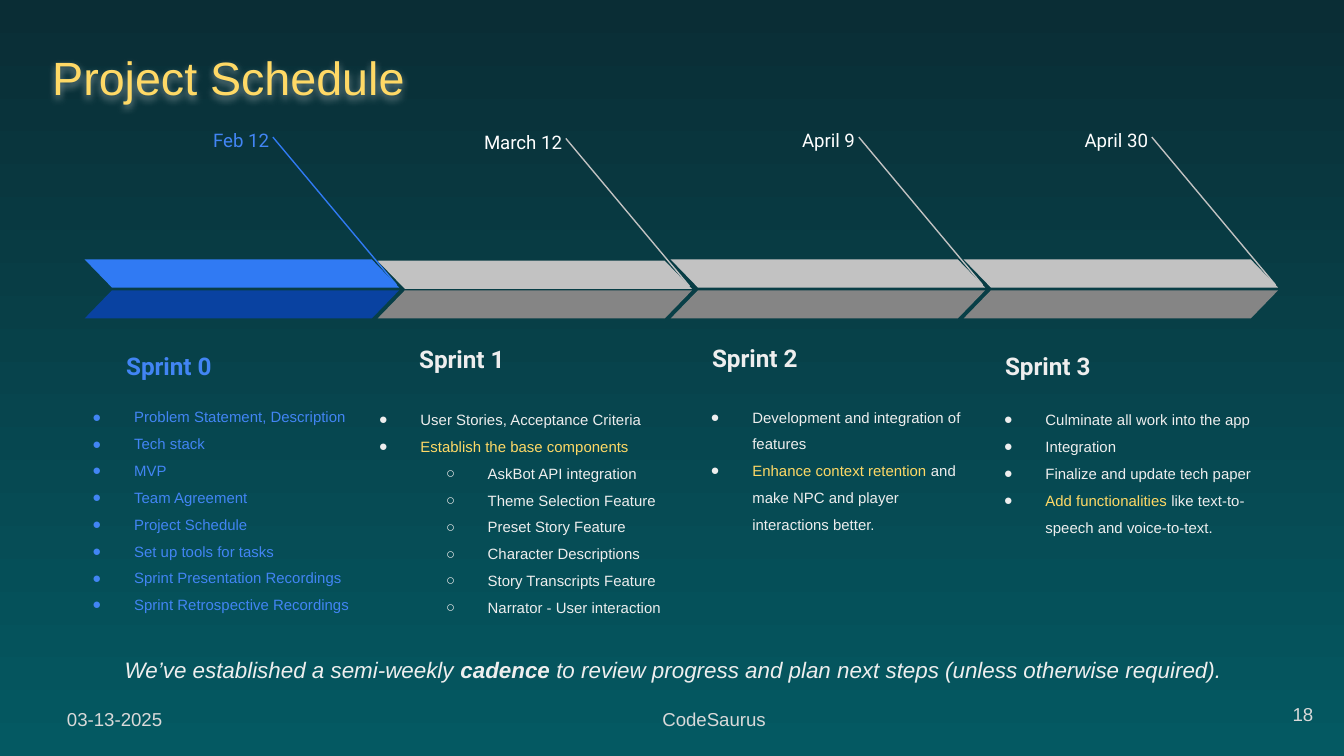
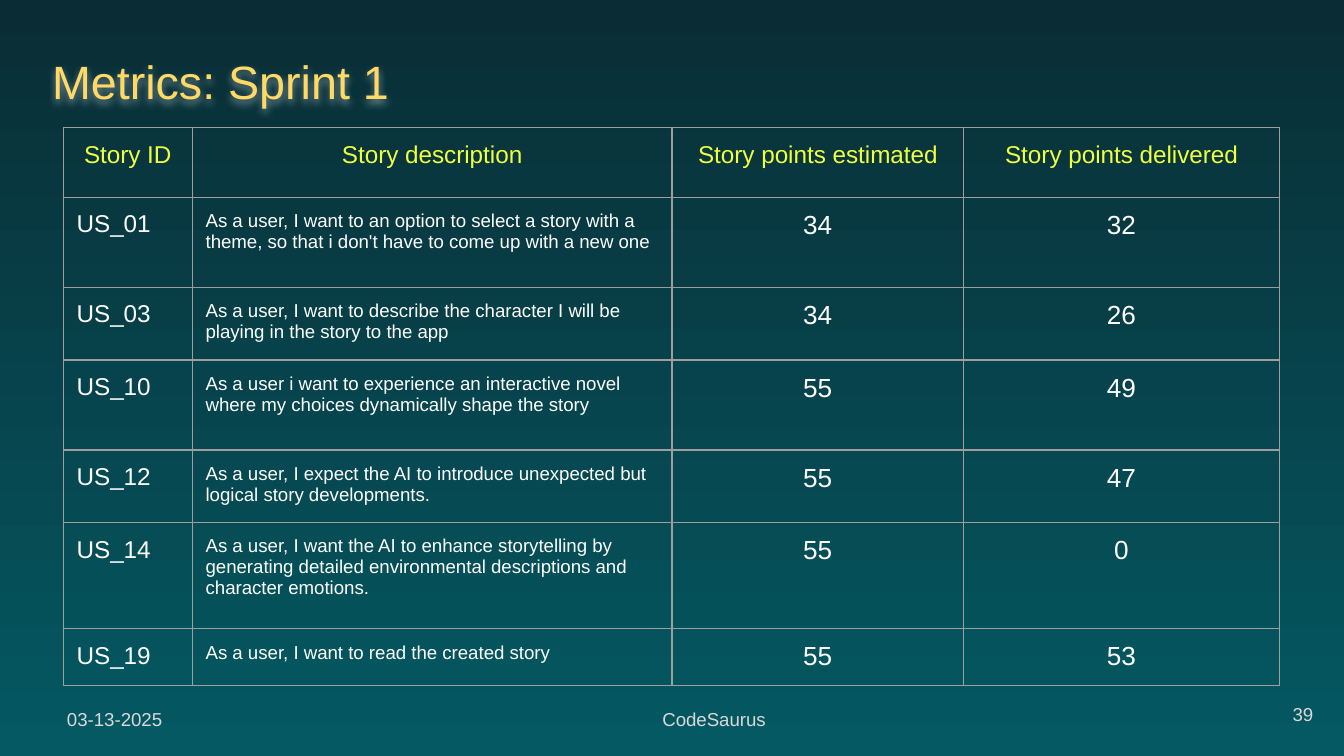
from dataclasses import dataclass

from lxml.etree import SubElement
from pptx import Presentation
from pptx.dml.color import RGBColor
from pptx.enum.shapes import MSO_CONNECTOR, MSO_SHAPE
from pptx.enum.text import MSO_ANCHOR, PP_ALIGN
from pptx.oxml.ns import qn
from pptx.util import Inches, Pt

NIGHT, TEAL = "0A2D35", "045962"
GOLD, LIME = "FFD966", "EEFF41"
WHITE, PALE, MUTED = "FFFFFF", "EEEEEE", "D9D9D9"
BLUE, BRIGHT_BLUE, DEEP_BLUE = "4285F4", "307AF3", "0942A1"
SILVER, GRAY, BORDER = "C2C2C2", "858585", "9E9E9E"


@dataclass
class Sprint:
    name: str
    date: str
    heading_top: float
    list_area: tuple
    tasks: tuple
    details: tuple = ()
    drop: float = 0
    date_color: str = WHITE
    text_color: str = PALE
    upper_color: str = SILVER
    lower_color: str = GRAY


SPRINTS = [
    Sprint(
        "Sprint 0", "Feb 12", 2.5, (0.4, 2.87, 2.47, 1.7),
        ("Problem Statement, Description", "Tech stack", "MVP", "Team Agreement",
         "Project Schedule", "Set up tools for tasks",
         "Sprint Presentation Recordings", "Sprint Retrospective Recordings"),
        date_color=BLUE, text_color=BLUE,
        upper_color=BRIGHT_BLUE, lower_color=DEEP_BLUE,
    ),
    Sprint(
        "Sprint 1", "March 12", 2.45, (2.53, 2.89, 2.85, 1.7),
        ("User Stories, Acceptance Criteria", "*Establish the base components*"),
        ("AskBot API integration", "Theme Selection Feature", "Preset Story Feature",
         "Character Descriptions", "Story Transcripts Feature",
         "Narrator - User interaction"),
        drop=0.01,
    ),
    Sprint(
        "Sprint 2", "April 9", 2.44, (5, 2.87, 2.34, 1.71),
        ("Development and integration of features",
         "*Enhance context retention* and make NPC and player interactions better."),
    ),
    Sprint(
        "Sprint 3", "April 30", 2.5, (7.18, 2.89, 2.32, 1.68),
        ("Culminate all work into the app", "Integration",
         "Finalize and update tech paper",
         "*Add functionalities* like text-to-speech and voice-to-text."),
    ),
]

STORIES = [
    ("US_01", "As a user, I want to an option to select a story with a theme, "
     "so that i don't have to come up with a new one", 34, 32),
    ("US_03", "As a user, I want to describe the character I will be playing "
     "in the story to the app", 34, 26),
    ("US_10", "As a user i want to experience an interactive novel where my choices "
     "dynamically shape the story", 55, 49),
    ("US_12", "As a user, I expect the AI to introduce unexpected but logical "
     "story developments.", 55, 47),
    ("US_14", "As a user, I want the AI to enhance storytelling by generating detailed "
     "environmental descriptions and character emotions.", 55, 0),
    ("US_19", "As a user, I want to read the created story", 55, 53),
]
STORY_HEADER = ("Story ID", "Story description",
                "Story points estimated", "Story points delivered")


def rgb(color):
    return RGBColor.from_string(color)


def write(para, text, size=10, color=PALE, font="Arial", bold=False, italic=False,
          align=PP_ALIGN.LEFT, spacing=None, accent=None):
    para.alignment = align
    if spacing:
        para.line_spacing = spacing
    for index, part in enumerate(text.split("*")):
        if not part:
            continue
        style = dict(color=color, bold=bold)
        if index % 2:
            style.update(accent)
        span = para.add_run()
        span.text = part
        span.font.name = font
        span.font.size = Pt(size)
        span.font.italic = italic
        span.font.bold = style["bold"]
        span.font.color.rgb = rgb(style["color"])


class Deck:
    def __init__(self):
        self.file = Presentation()
        self.file.slide_width = Inches(10)
        self.file.slide_height = Inches(10) * 9 // 16
        self.page = None
        self.shapes = None

    def add_page(self, title, number, anchor=MSO_ANCHOR.TOP):
        self.page = self.file.slides.add_slide(self.file.slide_layouts[6])
        self.shapes = self.page.shapes
        fill = self.page.background.fill
        fill.gradient()
        fill.gradient_angle = 270
        for stop, color in zip(fill.gradient_stops, (NIGHT, TEAL)):
            stop.color.rgb = rgb(color)
        self.text("03-13-2025", 0.4, 5.18, 1.05, 0.3, color=MUTED)
        self.text("CodeSaurus", 4.83, 5.18, 1.05, 0.3, color=MUTED, align=PP_ALIGN.JUSTIFY)
        self.glow(self.text(title, 0.29, 0.26, 8.73, 0.68, anchor, size=25, color=GOLD))
        self.text(str(number), 9.27, 5.1, 0.6, 0.43, MSO_ANCHOR.MIDDLE,
                  color=MUTED, align=PP_ALIGN.RIGHT)

    def start_group(self):
        self.shapes = self.page.shapes.add_group_shape().shapes

    def end_group(self):
        self.shapes = self.page.shapes

    def frame(self, left, top, width, height, anchor=MSO_ANCHOR.TOP):
        box = self.shapes.add_textbox(Inches(left), Inches(top), Inches(width), Inches(height))
        frame = box.text_frame
        frame.word_wrap = True
        frame.vertical_anchor = anchor
        frame.margin_left = frame.margin_right = Inches(0.1)
        frame.margin_top = frame.margin_bottom = Inches(0.1)
        return box

    def text(self, text, left, top, width, height, anchor=MSO_ANCHOR.TOP, **style):
        box = self.frame(left, top, width, height, anchor)
        write(box.text_frame.paragraphs[0], text, **style)
        return box

    def glow(self, box):
        effects = SubElement(box._element.spPr, qn("a:effectLst"))
        shadow = SubElement(effects, qn("a:outerShdw"), blurRad=str(Pt(4.5)),
                            dist=str(Pt(1.5)), dir="5400000", algn="bl", rotWithShape="0")
        tint = SubElement(shadow, qn("a:srgbClr"), val=PALE)
        SubElement(tint, qn("a:alpha"), val="50000")

    def bullets(self, tasks, details, area, color):
        frame = self.frame(*area).text_frame
        items = [(task, 0) for task in tasks] + [(detail, 1) for detail in details]
        for index, (item, level) in enumerate(items):
            para = frame.add_paragraph() if index else frame.paragraphs[0]
            para.level = level
            props = para._p.get_or_add_pPr()
            props.set("marL", str(Inches(0.5 + 0.5 * level)))
            props.set("indent", str(Inches(-0.31)))
            SubElement(SubElement(props, qn("a:buClr")), qn("a:srgbClr"), val=color)
            SubElement(props, qn("a:buSzPts"), val="800")
            SubElement(props, qn("a:buFont"), typeface="Arial")
            SubElement(props, qn("a:buChar"), char="●○"[level])
            write(para, item, size=8, color=color, spacing=1.5, accent=dict(color=GOLD))

    def strip(self, left, top, color, flipped=False):
        shape = self.shapes.add_shape(MSO_SHAPE.PARALLELOGRAM, Inches(left), Inches(top),
                                      Inches(2.34), Inches(0.21))
        shape.adjustments[0] = 0.97
        shape.shadow.inherit = False
        shape.fill.solid()
        shape.fill.fore_color.rgb = rgb(color)
        shape.line.fill.background()
        if flipped:
            shape._element.spPr.find(qn("a:xfrm")).set("flipH", "1")

    def line(self, left, top, right, bottom, color):
        line = self.shapes.add_connector(MSO_CONNECTOR.STRAIGHT, Inches(left), Inches(top),
                                         Inches(right), Inches(bottom))
        line.line.color.rgb = rgb(color)
        line.line.width = Pt(0.75)
        SubElement(line._element.spPr, qn("a:effectLst"))

    def cell(self, cell, text, **style):
        cell.margin_left = cell.margin_right = cell.margin_top = Inches(0.1)
        cell.margin_bottom = 0
        props = cell._tc.get_or_add_tcPr()
        for side in ("lnL", "lnR", "lnT", "lnB"):
            edge = SubElement(props, qn(f"a:{side}"), w=str(Pt(0.75)))
            SubElement(SubElement(edge, qn("a:solidFill")), qn("a:srgbClr"), val=BORDER)
        cell.fill.background()
        write(cell.text_frame.paragraphs[0], text, **style)

    def table(self, left, top, widths, heights):
        table = self.shapes.add_table(len(heights), len(widths), Inches(left), Inches(top),
                                      Inches(sum(widths)), Inches(sum(heights))).table
        table.first_row = table.horz_banding = False
        for column, width in zip(table.columns, widths):
            column.width = Inches(width)
        for row, height in zip(table.rows, heights):
            row.height = Inches(height)
        return table


def build_schedule(deck):
    deck.add_page("Project Schedule", 18)
    for index, sprint in enumerate(SPRINTS):
        left = 0.63 + 2.18 * index
        drop = sprint.drop
        deck.start_group()
        deck.text(sprint.date, left + 0.67, 0.84 + drop, 0.8, 0.36, font="Roboto",
                  color=sprint.date_color, align=PP_ALIGN.RIGHT, spacing=1.15)
        deck.text(sprint.name, left + 0.21, sprint.heading_top, 1.92, 0.43, MSO_ANCHOR.BOTTOM,
                  size=13, font="Roboto", color=sprint.text_color, bold=True, spacing=1.15)
        deck.bullets(sprint.tasks, sprint.details, sprint.list_area, sprint.text_color)
        deck.line(left + 1.4, 1.02 + drop, left + 2.32, 2.12 + drop, sprint.upper_color)
        deck.strip(left, 1.93 + drop, sprint.upper_color, flipped=True)
        deck.strip(left, 2.16, sprint.lower_color)
        deck.end_group()
    deck.text("We’ve established a semi-weekly *cadence* to review progress and plan "
              "next steps (unless otherwise required).", 0.83, 4.78, 8.77, 0.43,
              size=12, italic=True, accent=dict(bold=True))


def build_metrics(deck):
    deck.add_page("Metrics: Sprint 1", 39, MSO_ANCHOR.MIDDLE)
    table = deck.table(0.47, 0.95, (0.96, 3.57, 2.17, 2.35),
                       (0.52, 0.67, 0.54, 0.67, 0.54, 0.79, 0.42))
    for column, label in enumerate(STORY_HEADER):
        deck.cell(table.cell(0, column), label, size=13, color=LIME, align=PP_ALIGN.CENTER)
    sizes = (13, 10, 14, 14)
    aligns = (PP_ALIGN.LEFT, PP_ALIGN.LEFT, PP_ALIGN.CENTER, PP_ALIGN.CENTER)
    for row, story in enumerate(STORIES, 1):
        for column, (value, size, align) in enumerate(zip(story, sizes, aligns)):
            deck.cell(table.cell(row, column), str(value), size=size, color=WHITE, align=align)


def main():
    deck = Deck()
    build_schedule(deck)
    build_metrics(deck)
    deck.file.save("out.pptx")


if __name__ == "__main__":
    main()
